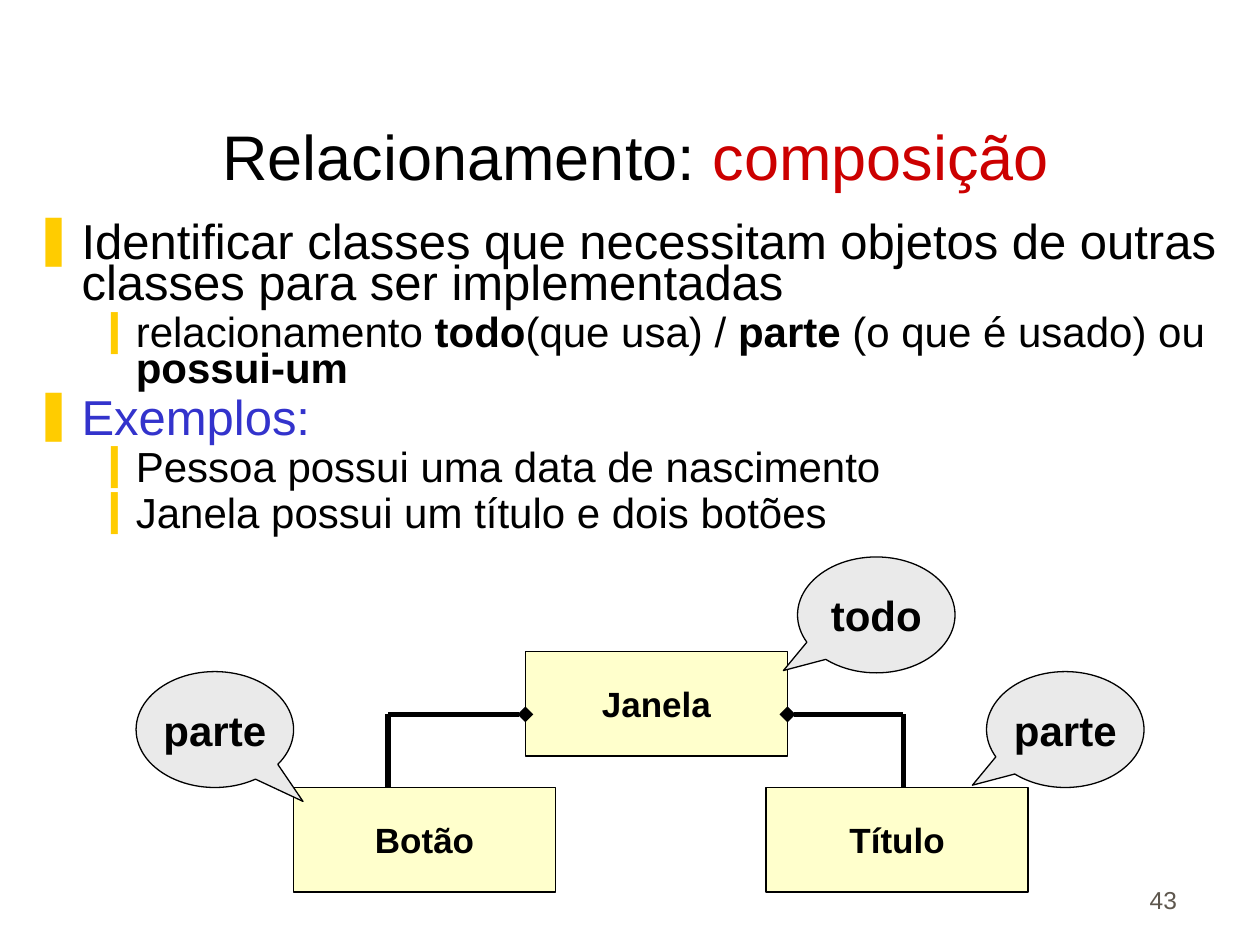
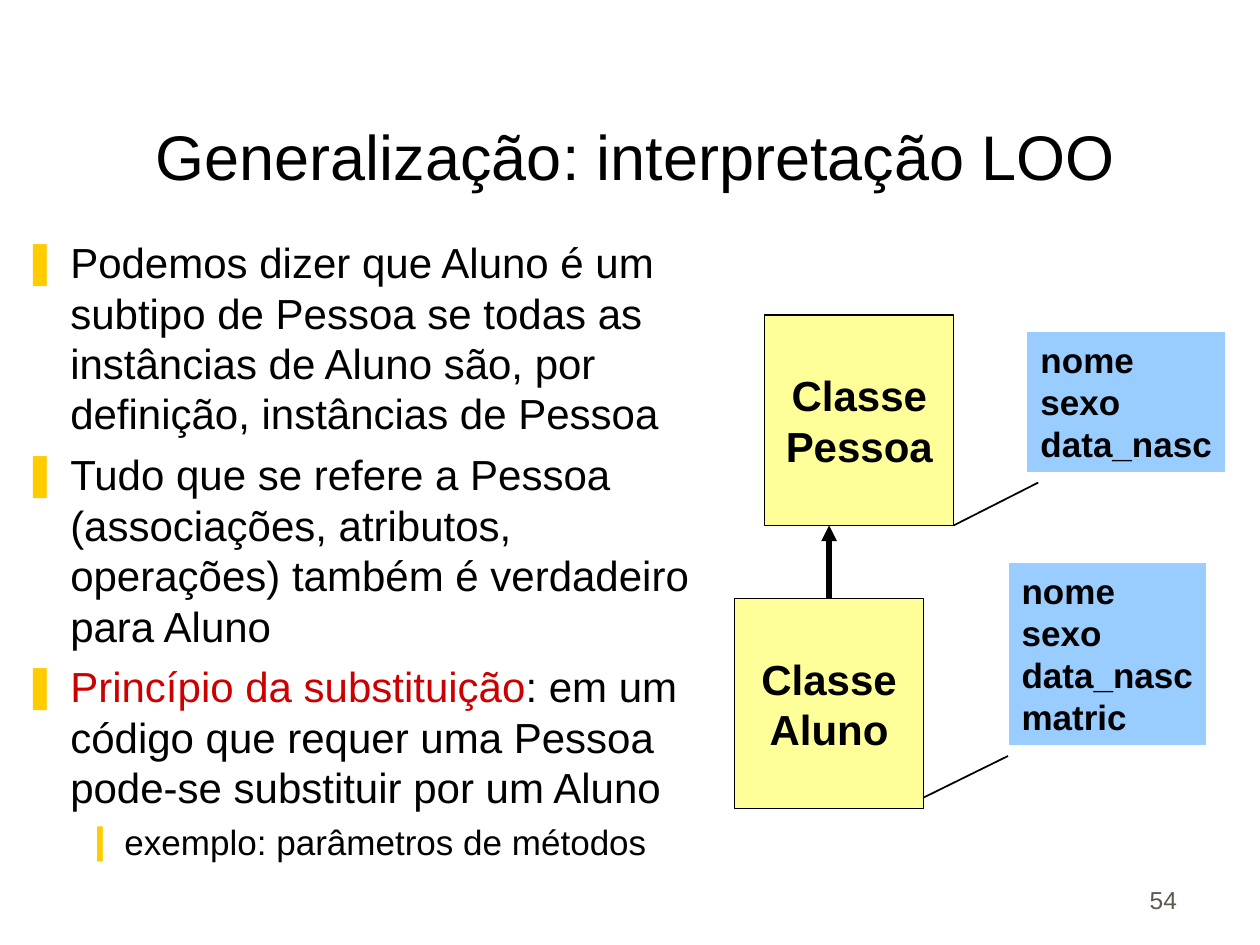
from dataclasses import dataclass

from lxml import etree
from pptx import Presentation
from pptx.dml.color import RGBColor
from pptx.enum.shapes import MSO_CONNECTOR, MSO_SHAPE
from pptx.enum.text import MSO_ANCHOR, MSO_AUTO_SIZE, PP_ALIGN
from pptx.oxml.ns import qn
from pptx.util import Inches, Pt

STRAIGHT = MSO_CONNECTOR.STRAIGHT
RECTANGLE, CALLOUT = MSO_SHAPE.RECTANGLE, MSO_SHAPE.OVAL_CALLOUT
TOP, MIDDLE, BOTTOM = MSO_ANCHOR.TOP, MSO_ANCHOR.MIDDLE, MSO_ANCHOR.BOTTOM
LEFT, CENTER, RIGHT = PP_ALIGN.LEFT, PP_ALIGN.CENTER, PP_ALIGN.RIGHT
NO_AUTO_SIZE, FIT_SHAPE = MSO_AUTO_SIZE.NONE, MSO_AUTO_SIZE.SHAPE_TO_FIT_TEXT

FONT = "Arial"
BLACK = RGBColor(0x00, 0x00, 0x00)
RED = RGBColor(0xCC, 0x00, 0x00)
BLUE = RGBColor(0x33, 0x33, 0xCC)
BULLET_YELLOW = RGBColor(0xFF, 0xCC, 0x00)
PALE_YELLOW = RGBColor(0xFF, 0xFF, 0xCC)
CLASS_YELLOW = RGBColor(0xFF, 0xFF, 0x99)
ATTRIBUTE_BLUE = RGBColor(0x99, 0xCC, 0xFF)
CALLOUT_GRAY = RGBColor(0xEA, 0xEA, 0xEA)
NUMBER_GRAY = RGBColor(0x5E, 0x57, 0x4E)

# Bullet character, left margin and hanging indent of each outline level
BULLETS = [("❚", 0.38, 0.38), ("❙", 0.81, 0.31)]


@dataclass
class Span:
    text: str
    color: RGBColor = BLACK
    bold: bool = False


@dataclass
class Item:
    spans: list[Span]
    level: int = 0


@dataclass
class Outline:
    """Body text; sizes and gaps (points) are listed by level."""
    left: float
    top: float
    width: float
    height: float
    sizes: tuple[int, int]
    gaps: tuple[int, int]
    line_spacing: float
    items: list[Item]


@dataclass
class Box:
    left: float
    top: float
    width: float
    height: float
    lines: list[str]
    fill: RGBColor
    size: int
    border: RGBColor = BLACK
    alignment: PP_ALIGN = CENTER
    pointer: tuple[float, float] | None = None
    fit: bool = False


@dataclass
class Line:
    start: tuple[float, float]
    end: tuple[float, float]
    width: float = 3
    tail: str | None = None


def set_margins(frame) -> None:
    frame.margin_left = frame.margin_right = Inches(0.1)
    frame.margin_top = frame.margin_bottom = Inches(0.05)


def set_font(font, size: float, color: RGBColor | None = None, bold: bool | None = None) -> None:
    font.name, font.size = FONT, Pt(size)
    if color is not None:
        font.color.rgb = color
    if bold is not None:
        font.bold = bold


def add_spans(paragraph, spans: list[Span]) -> None:
    for span in spans:
        run = paragraph.add_run()
        run.text = span.text
        run.font.color.rgb = span.color
        run.font.bold = span.bold


def add_bullet(paragraph, level: int) -> None:
    character, margin, hanging = BULLETS[level]
    paragraph.level = level
    properties = paragraph._p.get_or_add_pPr()
    properties.set("marL", str(Inches(margin)))
    properties.set("indent", str(-Inches(hanging)))
    color = etree.SubElement(properties, qn("a:buClr"))
    etree.SubElement(color, qn("a:srgbClr"), val=str(BULLET_YELLOW))
    etree.SubElement(properties, qn("a:buFont"), typeface=FONT)
    etree.SubElement(properties, qn("a:buChar"), char=character)


def add_titled_slide(presentation, title: list[Span], number: int):
    slide = presentation.slides.add_slide(presentation.slide_layouts[5])

    # Title
    shape = slide.shapes.title
    shape.left, shape.top = Inches(0.17), Inches(0.5)
    shape.width, shape.height = Inches(9.75), Inches(1.08)
    frame = shape.text_frame
    set_margins(frame)
    frame.word_wrap, frame.auto_size = True, NO_AUTO_SIZE
    frame.vertical_anchor = BOTTOM
    paragraph = frame.paragraphs[0]
    paragraph.alignment = CENTER
    set_font(paragraph.font, 36)
    add_spans(paragraph, title)

    # Page number
    shape = slide.shapes.add_textbox(Inches(7.36), Inches(6.81), Inches(2.08), Inches(0.5))
    frame = shape.text_frame
    set_margins(frame)
    frame.word_wrap = True
    frame.vertical_anchor = BOTTOM
    paragraph = frame.paragraphs[0]
    paragraph.text = str(number)
    paragraph.alignment = RIGHT
    set_font(paragraph.font, 14, NUMBER_GRAY)
    return slide


def add_outline(slide, outline: Outline) -> None:
    shape = slide.shapes.add_textbox(Inches(outline.left), Inches(outline.top),
                                     Inches(outline.width), Inches(outline.height))
    frame = shape.text_frame
    set_margins(frame)
    frame.word_wrap = True
    for index, item in enumerate(outline.items):
        paragraph = frame.add_paragraph() if index else frame.paragraphs[0]
        add_bullet(paragraph, item.level)
        paragraph.line_spacing = outline.line_spacing
        paragraph.space_before = Pt(outline.gaps[item.level] if index else 0)
        set_font(paragraph.font, outline.sizes[item.level])
        add_spans(paragraph, item.spans)


def add_box(slide, box: Box) -> None:
    shape = slide.shapes.add_shape(CALLOUT if box.pointer else RECTANGLE,
                                   Inches(box.left), Inches(box.top),
                                   Inches(box.width), Inches(box.height))
    shape.shadow.inherit = False
    shape.fill.solid()
    shape.fill.fore_color.rgb = box.fill
    shape.line.color.rgb = box.border
    shape.line.width = Pt(0.75)
    if box.pointer:
        shape.adjustments[0], shape.adjustments[1] = box.pointer
    frame = shape.text_frame
    set_margins(frame)
    frame.word_wrap = False
    frame.auto_size = FIT_SHAPE if box.fit else NO_AUTO_SIZE
    frame.vertical_anchor = TOP if box.fit else MIDDLE
    for index, text in enumerate(box.lines):
        paragraph = frame.add_paragraph() if index else frame.paragraphs[0]
        paragraph.text = text
        paragraph.alignment = box.alignment
        set_font(paragraph.font, box.size, BLACK, bold=True)


def add_line(slide, line: Line) -> None:
    connector = slide.shapes.add_connector(STRAIGHT, *map(Inches, line.start + line.end))
    connector.line.color.rgb = BLACK
    connector.line.width = Pt(line.width)
    if line.tail:
        etree.SubElement(connector.line._get_or_add_ln(), qn("a:tailEnd"), type=line.tail)
    etree.SubElement(connector._element.spPr, qn("a:effectLst"))


def part_box(left: float, top: float, name: str) -> Box:
    return Box(left, top, 2.08, 0.83, [name], PALE_YELLOW, 20)


def role_callout(left: float, top: float, role: str, pointer: tuple[float, float]) -> Box:
    return Box(left, top, 1.25, 0.92, [role], CALLOUT_GRAY, 24, pointer=pointer)


def class_box(left: float, top: float, name: str) -> Box:
    return Box(left, top, 1.5, 1.67, ["Classe", name], CLASS_YELLOW, 24)


def attribute_box(left: float, top: float, height: float, names: list[str]) -> Box:
    return Box(left, top, 1.56, height, names, ATTRIBUTE_BLUE, 20,
               border=ATTRIBUTE_BLUE, alignment=LEFT, fit=True)


def build_composition(presentation) -> None:
    slide = add_titled_slide(
        presentation, [Span("Relacionamento: "), Span("composição", RED)], 43)
    add_outline(slide, Outline(0.17, 1.75, 9.83, 2.6, (28, 24), (7, 6), 0.7, [
        Item([Span("Identificar classes que necessitam objetos de outras "
                   "classes para ser implementadas")]),
        Item([Span("relacionamento "), Span("todo", bold=True), Span("(que usa) / "),
              Span("parte", bold=True), Span(" (o que é usado) ou "),
              Span("possui-um", bold=True)], level=1),
        Item([Span("Exemplos:", BLUE)]),
        Item([Span("Pessoa possui uma data de nascimento")], level=1),
        Item([Span("Janela possui um título e dois botões")], level=1),
    ]))

    # Whole and parts
    for box in (part_box(4.17, 5.17, "Janela"), part_box(2.33, 6.25, "Botão"),
                part_box(6.08, 6.25, "Título")):
        add_box(slide, box)
    for part_x, whole_x in ((3.08, 4.17), (7.17, 6.25)):
        add_line(slide, Line((part_x, 6.25), (part_x, 5.67)))
        add_line(slide, Line((part_x, 5.67), (whole_x, 5.67), tail="diamond"))

    # Roles
    lower_left, lower_right = (-0.59, 0.48), (0.56, 0.62)
    for callout in (role_callout(6.33, 4.42, "todo", lower_left),
                    role_callout(7.83, 5.33, "parte", lower_left),
                    role_callout(1.08, 5.33, "parte", lower_right)):
        add_box(slide, callout)


def build_generalization(presentation) -> None:
    slide = add_titled_slide(presentation, [Span("Generalização: interpretação LOO")], 54)
    add_outline(slide, Outline(0.08, 1.83, 5.5, 5.33, (24, 20), (6, 5), 1.0, [
        Item([Span("Podemos dizer que Aluno é um subtipo de Pessoa se todas as "
                   "instâncias de Aluno são, por definição, instâncias de Pessoa")]),
        Item([Span("Tudo que se refere a Pessoa (associações, atributos, operações) "
                   "também é verdadeiro para Aluno")]),
        Item([Span("Princípio da substituição", RED),
              Span(": em um código que requer uma Pessoa pode-se substituir por um Aluno")]),
        Item([Span("exemplo: parâmetros de métodos")], level=1),
    ]))

    # Classes with their attributes
    person_attributes = ["nome", "sexo", "data_nasc"]
    for box in (class_box(6.07, 2.5, "Pessoa"),
                attribute_box(8.16, 2.64, 1.1, person_attributes),
                class_box(5.83, 4.75, "Aluno"),
                attribute_box(8.01, 4.47, 1.44, person_attributes + ["matric"])):
        add_box(slide, box)

    # Inheritance arrow and attribute links
    for line in (Line((7.57, 4.17), (8.24, 3.83), width=1),
                 Line((6.58, 4.75), (6.58, 4.17), tail="triangle"),
                 Line((7.33, 6.33), (8, 6), width=1)):
        add_line(slide, line)


def main() -> None:
    presentation = Presentation()
    presentation.slide_width, presentation.slide_height = Inches(10), Inches(7.5)
    build_composition(presentation)
    build_generalization(presentation)
    presentation.save("out.pptx")


if __name__ == "__main__":
    main()
